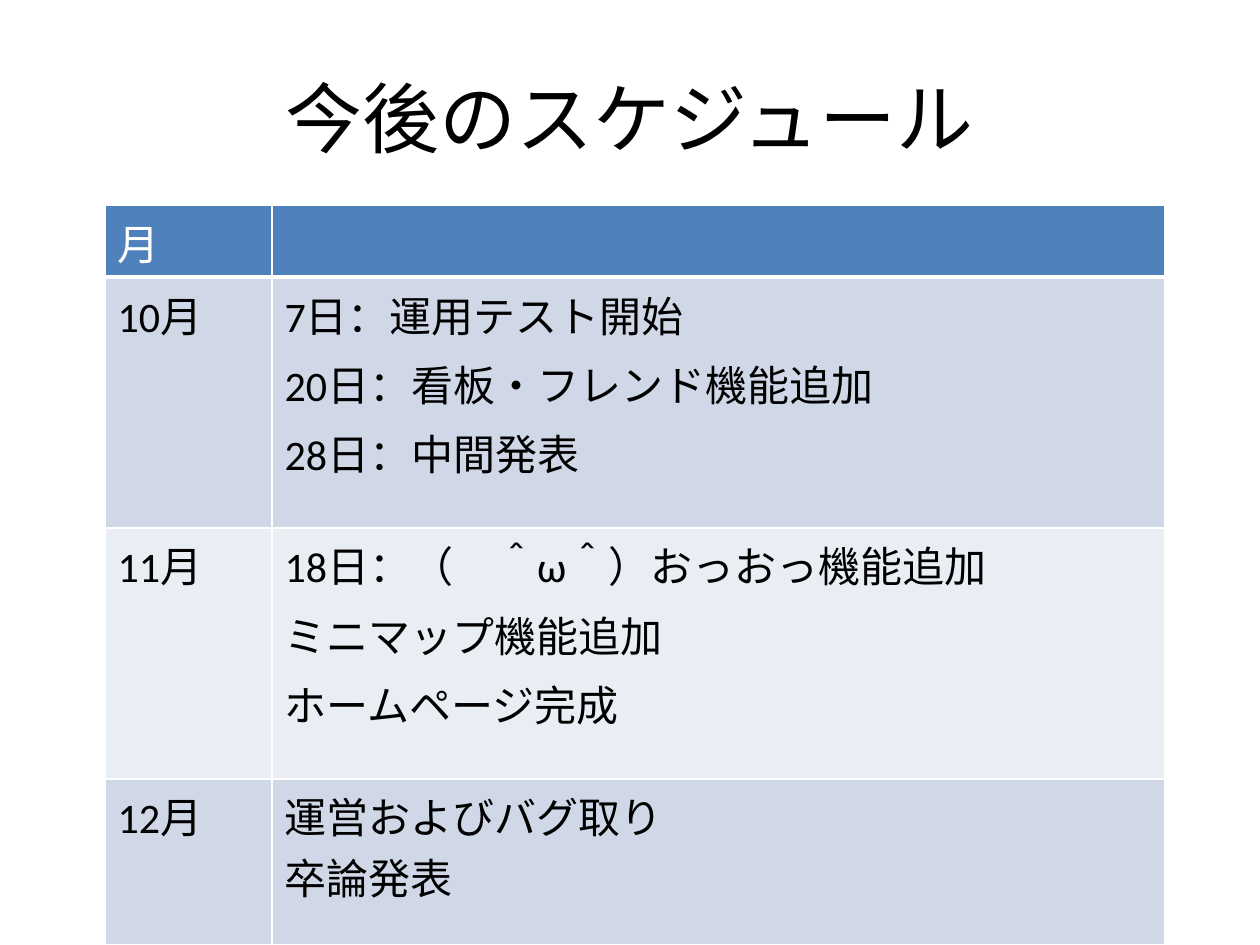
from dataclasses import dataclass
from lxml.etree import SubElement
from pptx import Presentation
from pptx.dml.color import RGBColor as Color
from pptx.enum.text import MSO_ANCHOR as Anchor, PP_ALIGN as Align
from pptx.oxml.ns import qn
from pptx.util import Emu, Pt


@dataclass(frozen=True)
class Theme:
    """Colours, font and sizes in points."""
    font: str = "Calibri"
    black: str = "000000"
    white: str = "FFFFFF"
    header: str = "4F81BD"
    bands: tuple = ("D0D8E8", "E9EDF4")
    title_size: int = 44
    body_size: int = 24
    space_before: float = 4.8
    border: int = 1
    header_border: int = 3


THEME = Theme()
PX_PER_INCH = 126
SLIDE_BOX = (0, 0, 1260, 945)
TITLE_BOX = (63, 38, 1134, 157)
TABLE_BOX = (105, 205, 1060, 740)
MONTH_WIDTH = 167
ROW_HEIGHTS = (72, 251, 251, 166)
SCHEDULE = (
    (("月",), ()),
    (("10月",), ("7日：運用テスト開始", "20日：看板・フレンド機能追加", "28日：中間発表")),
    (("11月",), ("18日：（　＾ω＾）おっおっ機能追加", "ミニマップ機能追加", "ホームページ完成")),
    (("12月",), ("運営およびバグ取り", "卒論発表")),
)


def px(length):
    """Turn pixels into EMU."""
    return Emu(round(length * 914400 / PX_PER_INCH))


def add_run(paragraph, text, size, color):
    """Add one styled run to a paragraph."""
    run = paragraph.add_run()
    run.text = text
    run.font.name = THEME.font
    run.font.size = Pt(size)
    run.font.color.rgb = Color.from_string(color)


def set_borders(cell, bottom):
    """Draw white borders on the four sides of a cell."""
    properties = cell._tc.get_or_add_tcPr()
    widths = {"lnL": THEME.border, "lnR": THEME.border, "lnT": THEME.border, "lnB": bottom}
    for side, width in widths.items():
        line = SubElement(properties, qn(f"a:{side}"), w=str(Pt(width)))
        fill = SubElement(line, qn("a:solidFill"))
        SubElement(fill, qn("a:srgbClr"), val=THEME.white)


def fill_cell(cell, lines, fill, color, bottom, space):
    """Style a cell and write one paragraph for each line."""
    set_borders(cell, bottom)
    cell.fill.solid()
    cell.fill.fore_color.rgb = Color.from_string(fill)
    frame = cell.text_frame
    for index, text in enumerate(lines):
        paragraph = frame.add_paragraph() if index else frame.paragraphs[0]
        if index:
            paragraph.space_before = Pt(space)
        add_run(paragraph, text, THEME.body_size, color)


def add_title(slide, box, text):
    """Place the centred slide title in its box."""
    shape = slide.shapes.add_textbox(*map(px, box))
    frame = shape.text_frame
    frame.word_wrap = True
    frame.vertical_anchor = Anchor.MIDDLE
    paragraph = frame.paragraphs[0]
    paragraph.alignment = Align.CENTER
    add_run(paragraph, text, THEME.title_size, THEME.black)


def add_schedule(slide, box, schedule):
    """Place the month table in its box."""
    table = slide.shapes.add_table(len(schedule), 2, *map(px, box)).table
    table.first_row = False
    table.horz_banding = False
    for column, width in zip(table.columns, (MONTH_WIDTH, box[2] - MONTH_WIDTH)):
        column.width = px(width)
    for index, (row, height) in enumerate(zip(table.rows, ROW_HEIGHTS)):
        row.height = px(height)
        if index:
            style = (THEME.bands[(index - 1) % 2], THEME.black, THEME.border)
        else:
            style = (THEME.header, THEME.white, THEME.header_border)
        space = 0 if index == len(schedule) - 1 else THEME.space_before
        for cell, lines in zip(row.cells, schedule[index]):
            fill_cell(cell, lines, *style, space)


def main():
    """Build and save the schedule slide."""
    presentation = Presentation()
    presentation.slide_width, presentation.slide_height = map(px, SLIDE_BOX[2:])
    slide = presentation.slides.add_slide(presentation.slide_layouts[6])
    add_title(slide, TITLE_BOX, "今後のスケジュール")
    add_schedule(slide, TABLE_BOX, SCHEDULE)
    presentation.save("out.pptx")


if __name__ == "__main__":
    main()
